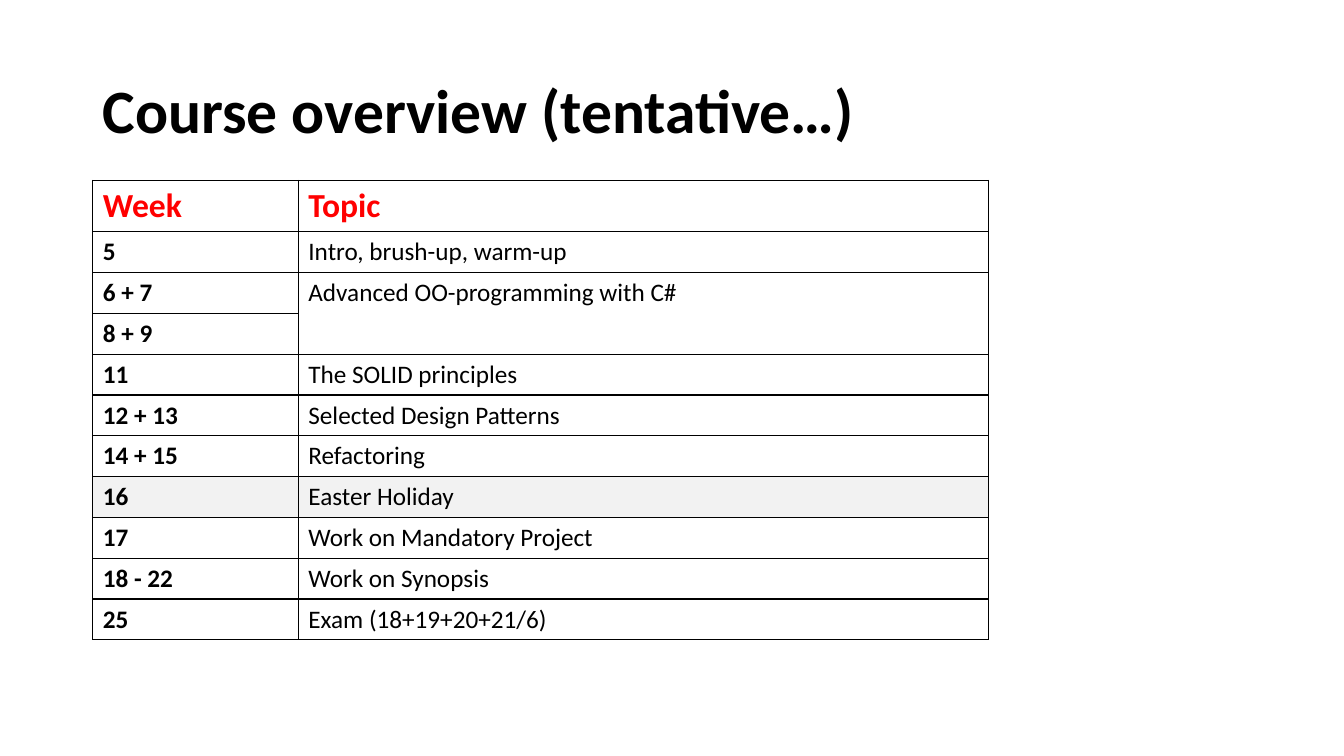
from lxml.etree import SubElement
from pptx import Presentation
from pptx.dml.color import RGBColor
from pptx.enum.text import MSO_ANCHOR
from pptx.oxml.ns import qn
from pptx.util import Inches, Pt

BLACK = RGBColor(0x00, 0x00, 0x00)
RED = RGBColor(0xFF, 0x00, 0x00)
LIGHT_GREY = RGBColor(0xF2, 0xF2, 0xF2)

GRID_COLUMNS, GRID_ROWS = 160, 90
GRID_UNIT = Inches(7.5) / GRID_ROWS
LEFT = 11.04

SCHEDULE = [
    ("Week", "Topic"),
    ("5", "Intro, brush-up, warm-up"),
    ("6 + 7", "Advanced OO-programming with C#"),
    ("8 + 9", None),
    ("11", "The SOLID principles"),
    ("12 + 13", "Selected Design Patterns"),
    ("14 + 15", "Refactoring"),
    ("16", "Easter Holiday"),
    ("17", "Work on Mandatory Project"),
    ("18 - 22", "Work on Synopsis"),
    ("25", "Exam (18+19+20+21/6)"),
]
HOLIDAY_WEEK = "16"


def grid(units):
    """Turn grid units into a slide length."""
    return round(units * GRID_UNIT)


def write_text(frame, text, *, font="Calibri", size=18, color=BLACK, bold=False,
               line_spacing=None):
    paragraph = frame.paragraphs[0]
    if line_spacing:
        paragraph.line_spacing = line_spacing
    run = paragraph.add_run()
    run.text = text
    run.font.name = font
    run.font.size = Pt(size)
    run.font.bold = bold
    run.font.color.rgb = color


def add_borders(cell, color=BLACK, width=1):
    properties = cell._tc.get_or_add_tcPr()
    for side in ("lnL", "lnR", "lnT", "lnB"):
        line = SubElement(properties, qn(f"a:{side}"), w=str(Pt(width)))
        fill = SubElement(line, qn("a:solidFill"))
        SubElement(fill, qn("a:srgbClr"), val=str(color))


class SlideBuilder:
    def __init__(self, slide, font="Calibri"):
        self.slide = slide
        self.font = font

    def title(self, text, left, top, width, height):
        box = self.slide.shapes.add_textbox(*map(grid, (left, top, width, height)))
        frame = box.text_frame
        frame.word_wrap = True
        frame.vertical_anchor = MSO_ANCHOR.MIDDLE
        write_text(frame, text, font=self.font, size=44, bold=True, line_spacing=0.9)

    def schedule_table(self, rows, left, top, column_widths, header_height, row_height):
        """Draw the schedule; a topic of None continues the topic above it."""
        height = header_height + row_height * (len(rows) - 1)
        table = self.slide.shapes.add_table(
            len(rows), len(column_widths),
            *map(grid, (left, top, sum(column_widths), height))).table
        for column, width in zip(table.columns, column_widths):
            column.width = grid(width)

        for row_index, row in enumerate(rows):
            is_header = row_index == 0
            table.rows[row_index].height = grid(header_height if is_header else row_height)
            for column_index, text in enumerate(row):
                cell = table.cell(row_index, column_index)
                add_borders(cell)
                if row[0] == HOLIDAY_WEEK:
                    cell.fill.solid()
                    cell.fill.fore_color.rgb = LIGHT_GREY
                else:
                    cell.fill.background()
                if text is None:
                    table.cell(row_index - 1, column_index).merge(cell)
                else:
                    write_text(cell.text_frame, text, font=self.font,
                               size=24 if is_header else 18,
                               color=RED if is_header else BLACK,
                               bold=is_header or column_index == 0)


def main():
    presentation = Presentation()
    presentation.slide_width = grid(GRID_COLUMNS)
    presentation.slide_height = grid(GRID_ROWS)
    blank_layout = presentation.slide_layouts[6]
    builder = SlideBuilder(presentation.slides.add_slide(blank_layout))

    builder.title("Course overview (tentative…)", LEFT, 4.8, 138, 17.4)
    builder.schedule_table(SCHEDULE, LEFT, 21.48, column_widths=(24.48, 82.2),
                           header_height=6.12, row_height=4.86)
    presentation.save("out.pptx")


if __name__ == "__main__":
    main()
